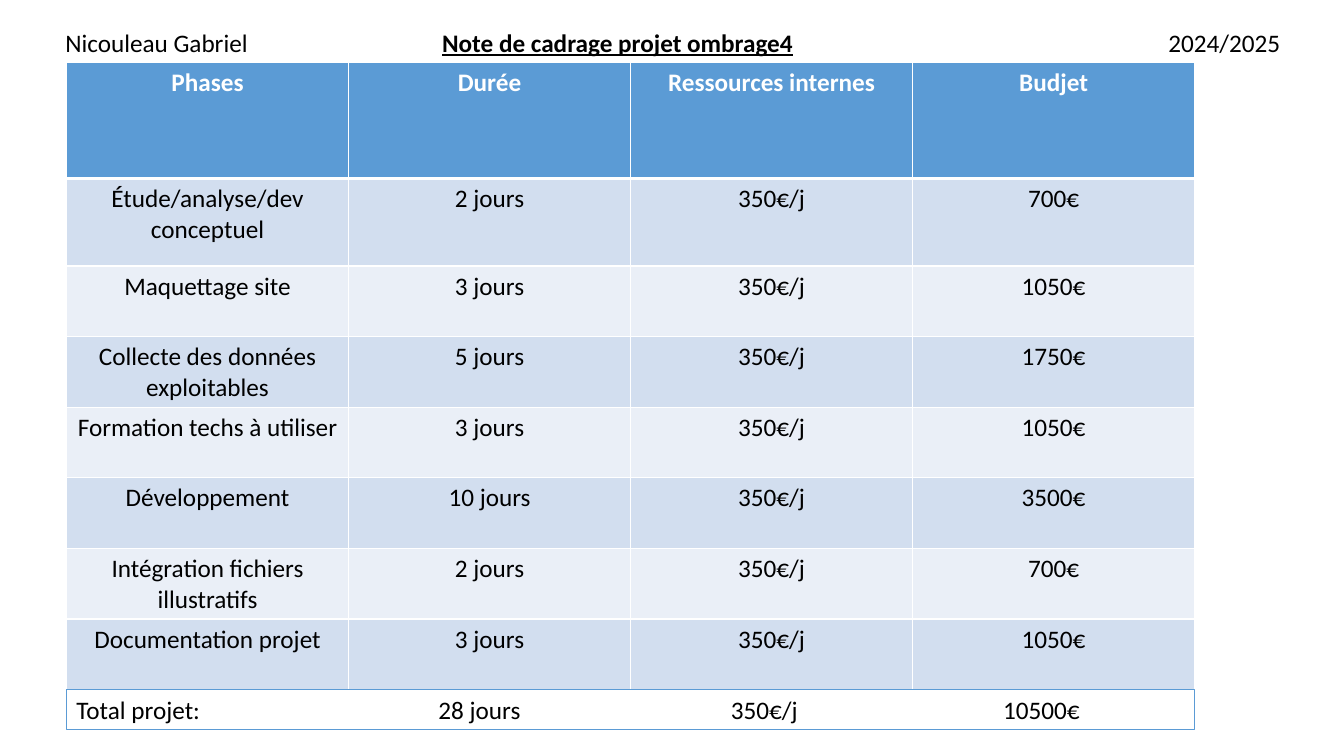
import pptx
import pptx.util
import pptx.dml.color
import pptx.enum.shapes
import pptx.enum.text
import lxml.etree
from pptx.oxml.ns import qn

Inches = pptx.util.Inches
PP_ALIGN = pptx.enum.text.PP_ALIGN


def rgb(value):
    return pptx.dml.color.RGBColor.from_string(value)


def write(tf, text, align, **formats):
    tf.word_wrap = True
    p = tf.paragraphs[0]
    p.alignment = align
    r = p.add_run()
    r.text = text
    font = {"name": "Calibri", "size": pptx.util.Pt(18), "bold": False}
    color = formats.pop("color", "000000")
    for key, value in {**font, **formats}.items():
        setattr(r.font, key, value)
    r.font.color.rgb = rgb(color)
    return p


prs = pptx.Presentation()
prs.slide_width = Inches(13.33)
prs.slide_height = Inches(7.5)
s = prs.slides.add_slide(prs.slide_layouts[5])

title = s.shapes.title
title.left, title.top, title.width, title.height = [Inches(v) for v in (4.25, 0.22, 3.75, 0.4)]
title.text_frame.vertical_anchor = pptx.enum.text.MSO_ANCHOR.TOP
title.text_frame.auto_size = pptx.enum.text.MSO_AUTO_SIZE.SHAPE_TO_FIT_TEXT
write(title.text_frame, "Note de cadrage projet ombrage4", PP_ALIGN.CENTER, bold=True, underline=True)

for text, left, width in [("Nicouleau Gabriel", 0.55, 2.04), ("2024/2025", 11.49, 1.45)]:
    sp = s.shapes.add_textbox(Inches(left), Inches(0.22), Inches(width), Inches(0.4))
    write(sp.text_frame, text, PP_ALIGN.LEFT)

rate = "350€/j"
rows = [
    ("Phases", "Durée", "Ressources internes", "Budjet"),
    ("Étude/analyse/dev conceptuel", "2 jours", rate, "700€"),
    ("Maquettage site", "3 jours", rate, "1050€"),
    ("Collecte des données exploitables", "5 jours", rate, "1750€"),
    ("Formation techs à utiliser", "3 jours", rate, "1050€"),
    ("Développement", "10 jours", rate, "3500€"),
    ("Intégration fichiers illustratifs", "2 jours", rate, "700€"),
    ("Documentation projet", "3 jours", rate, "1050€"),
]
heights = [1.15, 0.87] + [0.7] * 6
table = s.shapes.add_table(
    len(rows), 4, Inches(0.66), Inches(0.62), Inches(11.19), Inches(sum(heights))
).table
for column in table.columns:
    column.width = Inches(11.19 / 4)

for i, values in enumerate(rows):
    table.rows[i].height = Inches(heights[i])
    header = i == 0
    fill = "5B9BD5" if header else ("EAEFF7", "D2DEEF")[i % 2]
    borders = {"a:lnL": 1, "a:lnR": 1, "a:lnT": 3 if i == 1 else 1, "a:lnB": 3 if header else 1}
    for j, text in enumerate(values):
        cell = table.cell(i, j)
        tcPr = cell._tc.get_or_add_tcPr()
        for tag, points in borders.items():
            ln = lxml.etree.SubElement(tcPr, qn(tag), w=str(pptx.util.Pt(points)))
            solid = lxml.etree.SubElement(ln, qn("a:solidFill"))
            lxml.etree.SubElement(solid, qn("a:srgbClr"), val="FFFFFF")
        cell.fill.solid()
        cell.fill.fore_color.rgb = rgb(fill)
        write(cell.text_frame, text, PP_ALIGN.CENTER, bold=header, color="FFFFFF" if header else "000000")

total = s.shapes.add_shape(
    pptx.enum.shapes.MSO_SHAPE.RECTANGLE, Inches(0.66), Inches(6.84), Inches(11.19), Inches(0.4)
)
total.shadow.inherit = False
total.fill.background()
total.line.color.rgb = rgb("5B9BD5")
total.line.width = pptx.util.Pt(0.75)
p = write(total.text_frame, "\t".join(["Total projet:", "28 jours", rate, "10500€"]), PP_ALIGN.LEFT)
tabs = lxml.etree.SubElement(p._p.get_or_add_pPr(), qn("a:tabLst"))
for position in (3.59, 6.49, 9.19):
    lxml.etree.SubElement(tabs, qn("a:tab"), pos=str(Inches(position)), algn="l")

prs.save("out.pptx")
